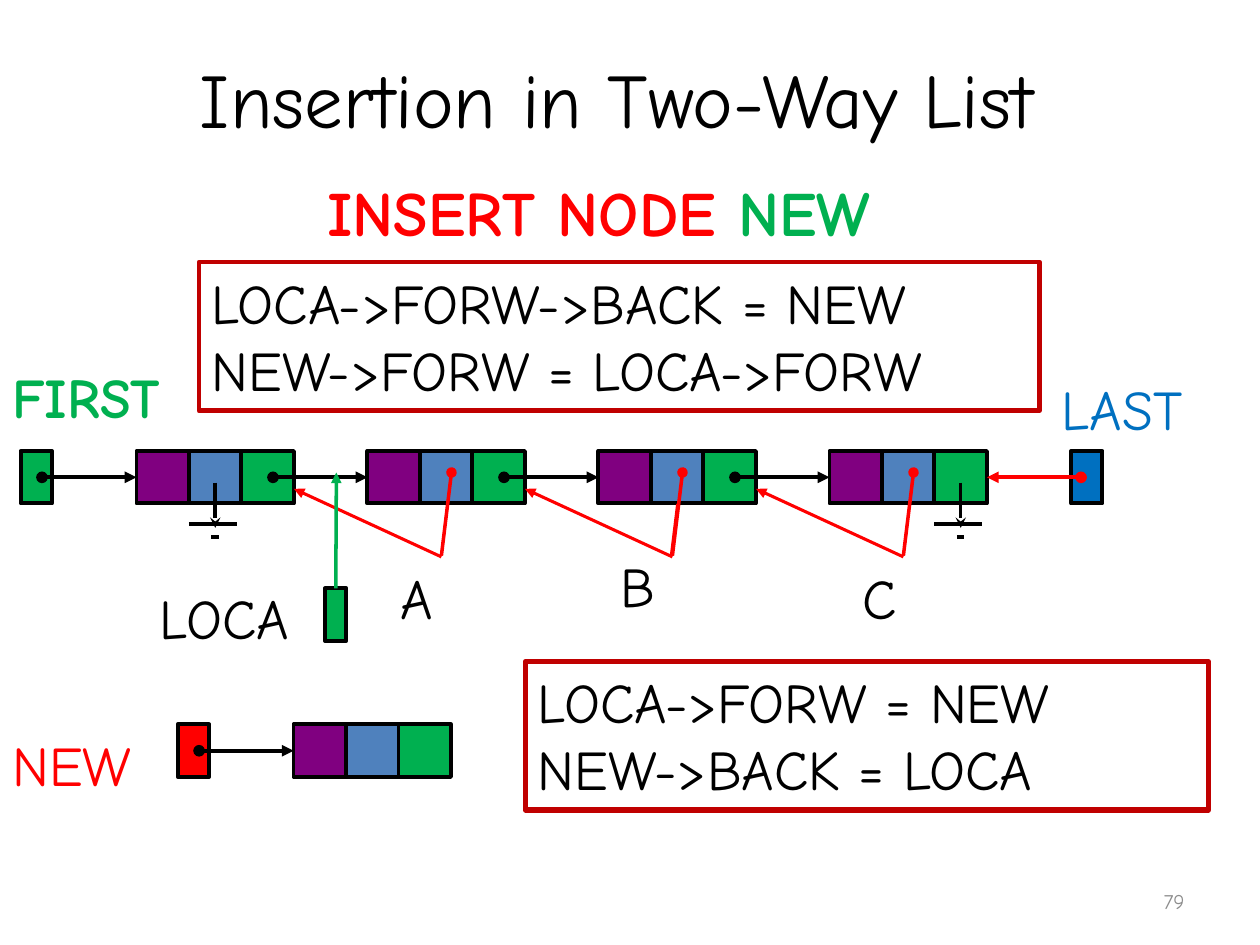
from pptx import Presentation
from pptx.dml.color import RGBColor
from pptx.enum.shapes import MSO_CONNECTOR, MSO_SHAPE
from pptx.enum.text import MSO_ANCHOR, PP_ALIGN
from pptx.oxml.ns import qn
from pptx.util import Inches, Pt
from lxml.etree import SubElement

BLACK = RGBColor(0x00, 0x00, 0x00)
GREY = RGBColor(0x8C, 0x8C, 0x8C)
RED = RGBColor(0xFF, 0x00, 0x00)
CRIMSON = RGBColor(0xC0, 0x00, 0x00)
GREEN = RGBColor(0x00, 0xB0, 0x50)
BLUE = RGBColor(0x00, 0x70, 0xC0)
STEEL = RGBColor(0x4F, 0x81, 0xBD)
PURPLE = RGBColor(0x80, 0x00, 0x80)

FONT = "Comic Neue"
CELL = 5 / 12
STEP = 22 / 12
LEFT = 13 / 12
TOP = 3.58
NODES = [LEFT + i * STEP for i in range(4)]


def write(frame, lines, size=32, color=BLACK, bold=False, align=PP_ALIGN.LEFT,
          anchor=MSO_ANCHOR.TOP):
    """Fill a frame; each line is a string or a list of (text, color) runs."""
    frame.word_wrap = True
    frame.vertical_anchor = anchor
    for i, line in enumerate(lines):
        para = frame.paragraphs[0] if i == 0 else frame.add_paragraph()
        para.alignment = align
        for text, tint in [(line, color)] if isinstance(line, str) else line:
            run = para.add_run()
            run.text = text
            run.font.name = FONT
            run.font.size = Pt(size)
            run.font.bold = bold
            run.font.color.rgb = tint


class Page:
    """Holds the line style and the slide being drawn."""

    def __init__(self, slide, width=2.25):
        self.slide = slide
        self.width = width

    def title(self, text, x, y, w, h):
        shape = self.slide.shapes.title
        shape.left, shape.top = Inches(x), Inches(y)
        shape.width, shape.height = Inches(w), Inches(h)
        write(shape.text_frame, [text], size=44, align=PP_ALIGN.CENTER,
              anchor=MSO_ANCHOR.MIDDLE)

    def text(self, lines, x, y, w, h=0.64, edge=None, **style):
        box = self.slide.shapes.add_textbox(Inches(x), Inches(y), Inches(w), Inches(h))
        if edge:
            box.line.color.rgb = CRIMSON
            box.line.width = Pt(edge)
        write(box.text_frame, lines, **style)

    def rect(self, x, y, w, fill):
        shape = self.slide.shapes.add_shape(
            MSO_SHAPE.RECTANGLE, Inches(x), Inches(y), Inches(w), Inches(CELL))
        shape.shadow.inherit = False
        shape.fill.solid()
        shape.fill.fore_color.rgb = fill
        shape.line.color.rgb = BLACK
        shape.line.width = Pt(self.width)
        return shape

    def line(self, x1, y1, x2, y2, color=BLACK, width=None, head=None, tail=None):
        link = self.slide.shapes.add_connector(
            MSO_CONNECTOR.STRAIGHT, Inches(x1), Inches(y1), Inches(x2), Inches(y2))
        link.line.color.rgb = color
        link.line.width = Pt(width or self.width)
        stroke = link.line._get_or_add_ln()
        for tag, kind in (("a:headEnd", head), ("a:tailEnd", tail)):
            if kind:
                SubElement(stroke, qn(tag), type=kind)
        SubElement(link._element.spPr, qn("a:effectLst"))
        return link

    def node(self, x, y):
        """Draw three cells and return the first and last."""
        cells = [self.rect(x + i * CELL, y, CELL, fill)
                 for i, fill in enumerate((PURPLE, STEEL, GREEN))]
        return cells[0], cells[-1]

    def lead(self, cell, x, y):
        """Draw the forward arrow into the node at x."""
        mid = y + CELL / 2
        link = self.line(x - 0.75, mid, x, mid, head="oval", tail="triangle")
        link.end_connect(cell, 1)

    def back(self, x):
        """Draw the bent back link that ends at the node edge x."""
        bend = x + 1.17
        self.line(x, 3.88, bend, 4.42, RED, 1.75, head="triangle")
        self.line(bend, 4.41, bend + 0.08, 3.75, RED, 2, tail="oval")

    def ground(self, x):
        self.line(x, 3.83, x, 4.19, width=2, tail="stealth")
        self.line(x - 0.21, 4.16, x + 0.17, 4.16, width=2)
        self.line(x - 0.03, 4.26, x + 0.03, 4.26, width=2)


def main():
    deck = Presentation()
    deck.slide_width, deck.slide_height = Inches(10), Inches(7.5)
    page = Page(deck.slides.add_slide(deck.slide_layouts[5]))

    page.title("Insertion in Two-Way List ", 0.5, 0.3, 9, 0.95)
    page.text([[("INSERT NODE ", RED), ("NEW", GREEN)]], 2.5, 1.33, 5.42, 0.71,
              size=36, bold=True)

    # List nodes and their links
    ends = [page.node(x, TOP) for x in NODES]
    page.rect(NODES[0] - 0.92, TOP, 0.25, GREEN)
    page.rect(8.5, TOP, 0.25, BLUE)
    for x, (first, _) in zip(NODES, ends):
        page.lead(first, x, TOP)
    mid = TOP + CELL / 2
    last = page.line(8.58, mid, 7.83, mid, RED, head="oval", tail="triangle")
    last.end_connect(ends[-1][1], 3)
    for x in NODES[:-1]:
        page.back(x + 3 * CELL)
    page.line(5.33, 4.41, 5.38, 4, RED, 2)
    page.ground(NODES[0] + 1.5 * CELL)
    page.ground(NODES[-1] + 2.5 * CELL)

    # Pointer to the insertion place
    loca = page.rect(2.58, 4.67, 0.17, GREEN)
    link = page.line(2.67, 4.67, 2.67, 3.75, GREEN, 2, tail="triangle")
    link.begin_connect(loca, 0)

    # New node
    start, level = 2.33, 5.75
    first, _ = page.node(start, level)
    page.rect(start - 0.92, level, 0.25, RED)
    page.lead(first, start, level)

    for name, x, y, w, color, bold in (
        ("FIRST", 0, 2.83, 2, GREEN, True),
        ("LAST", 8.33, 2.92, 1.67, BLUE, False),
        ("A", 3.08, 4.42, 0.83, BLACK, False),
        ("B", 4.83, 4.33, 0.83, BLACK, False),
        ("C", 6.75, 4.42, 0.67, BLACK, False),
        ("LOCA", 1.17, 4.58, 1.58, BLACK, False),
        ("NEW", 0, 5.75, 1.33, RED, False),
    ):
        page.text([name], x, y, w, color=color, bold=bold)

    page.text(["LOCA->FORW->BACK = NEW", "NEW->FORW = LOCA->FORW"],
              1.58, 2.08, 6.67, 1.18, edge=2.75)
    page.text(["LOCA->FORW = NEW", "NEW->BACK = LOCA"],
              4.17, 5.25, 5.42, 1.18, edge=3)
    page.text(["79"], 7.17, 6.95, 2.33, 0.4, size=12, color=GREY,
              align=PP_ALIGN.RIGHT, anchor=MSO_ANCHOR.MIDDLE)

    deck.save("out.pptx")


if __name__ == "__main__":
    main()
